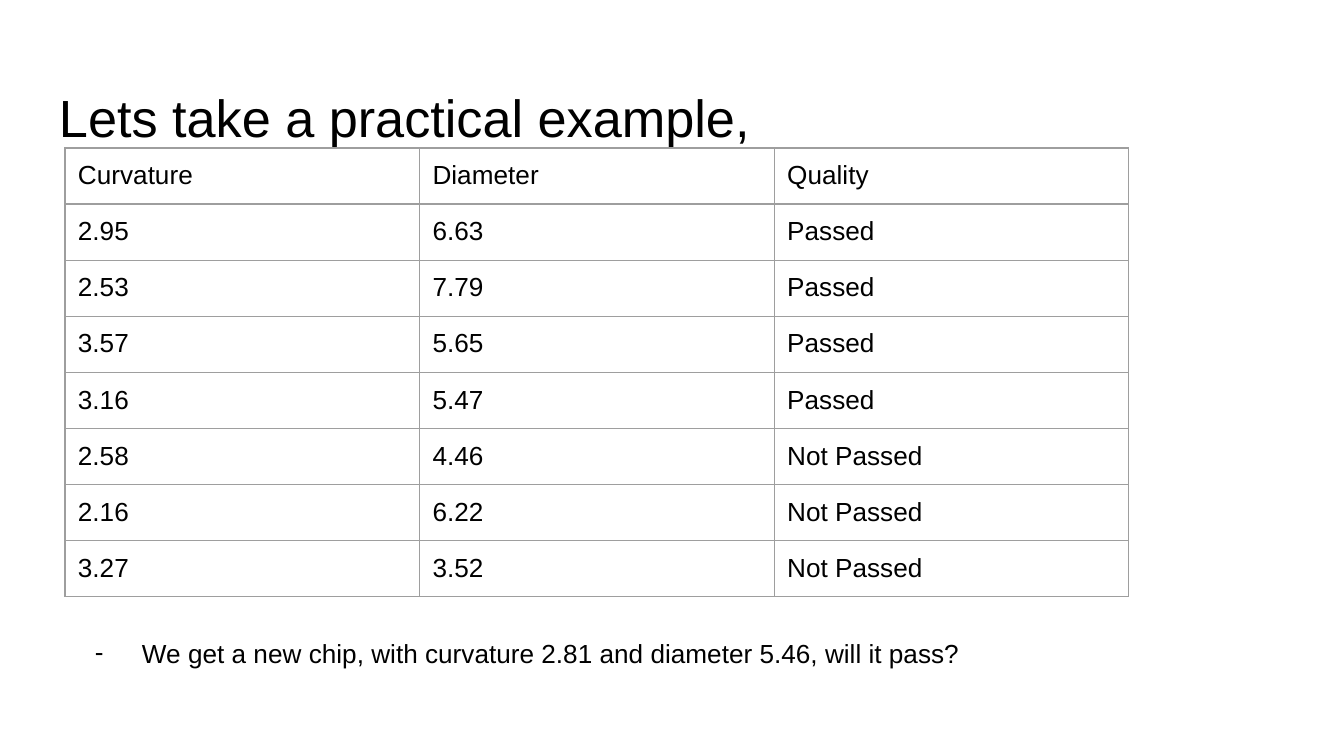
from lxml.etree import SubElement
from pptx import Presentation
from pptx.dml.color import RGBColor
from pptx.enum.text import MSO_ANCHOR as Anchor, MSO_AUTO_SIZE as AutoSize, PP_ALIGN as Align
from pptx.oxml.ns import qn
from pptx.util import Pt

SCALE = 914400 / 134.4
INSET = 13
BLACK, WHITE, GREY = "000000", "FFFFFF", "9E9E9E"
ROWS = [
    ("Curvature", "Diameter", "Quality"),
    ("2.95", "6.63", "Passed"),
    ("2.53", "7.79", "Passed"),
    ("3.57", "5.65", "Passed"),
    ("3.16", "5.47", "Passed"),
    ("2.58", "4.46", "Not Passed"),
    ("2.16", "6.22", "Not Passed"),
    ("3.27", "3.52", "Not Passed"),
]


def px(length):
    """Turn pixels into EMU."""
    return round(length * SCALE)


def color(value):
    """Turn a hex string into a colour."""
    return RGBColor.from_string(value)


def set_all(target, values):
    """Set attributes from a dict of format values."""
    for name, value in values.items():
        setattr(target, name, value)


def margins(prefix):
    """Give equal insets under the attribute names that start with prefix."""
    return {prefix + side: px(INSET) for side in ("left", "top", "right", "bottom")}


def write(frame, text, size):
    """Write one left-aligned paragraph and return it."""
    frame.text = text
    paragraph = frame.paragraphs[0]
    paragraph.alignment = Align.LEFT
    font = paragraph.runs[0].font
    set_all(font, {"name": "Arial", "size": Pt(size)})
    font.color.rgb = color(BLACK)
    return paragraph


def format_frame(frame):
    """Give a text frame its insets, wrapping and top anchor."""
    set_all(frame, margins("margin_") | {
        "word_wrap": True,
        "auto_size": AutoSize.NONE,
        "vertical_anchor": Anchor.TOP,
    })


def add_title(slide, left, top, width, height, text):
    """Move and format the title placeholder."""
    title = slide.shapes.title
    set_all(title, {"left": px(left), "top": px(top), "width": px(width), "height": px(height)})
    format_frame(title.text_frame)
    write(title.text_frame, text, 28).line_spacing = 1.1


def add_borders(cell):
    """Draw a thin grey line on each side of a cell."""
    properties = cell._tc.get_or_add_tcPr()
    for index, side in enumerate(("lnL", "lnR", "lnT", "lnB")):
        line = properties.makeelement(qn(f"a:{side}"), {"w": str(Pt(0.75))})
        fill = SubElement(line, qn("a:solidFill"))
        SubElement(fill, qn("a:srgbClr"), val=GREY)
        properties.insert(index, line)


def add_quality_table(slide, left, top, width, height):
    """Place the table of measured chips."""
    table = slide.shapes.add_table(
        len(ROWS), len(ROWS[0]), px(left), px(top), px(width), px(height)
    ).table
    set_all(table, {"first_row": False, "horz_banding": False})
    for row, values in enumerate(ROWS):
        for column, value in enumerate(values):
            cell = table.cell(row, column)
            set_all(cell, margins("margin_") | {"vertical_anchor": Anchor.TOP})
            cell.fill.solid()
            cell.fill.fore_color.rgb = color(WHITE)
            write(cell.text_frame, value, 14)
            add_borders(cell)


def add_question(slide, left, top, width, height, text):
    """Place the question with a dash as its bullet."""
    frame = slide.shapes.add_textbox(px(left), px(top), px(width), px(height)).text_frame
    format_frame(frame)
    properties = write(frame, text, 14)._p.get_or_add_pPr()
    properties.set("marL", str(px(67)))
    properties.set("indent", str(px(-47)))
    SubElement(properties, qn("a:buFont"), typeface="Arial")
    SubElement(properties, qn("a:buChar"), char="-")


def main():
    """Build and save the presentation."""
    presentation = Presentation()
    set_all(presentation, {"slide_width": px(1344), "slide_height": px(756)})
    slide = presentation.slides.add_slide(presentation.slide_layouts[5])
    add_title(slide, 46, 66, 1253, 85, "Lets take a practical example,")
    add_quality_table(slide, 65, 148, 1064, 449)
    add_question(slide, 62, 624, 977, 121,
                 "We get a new chip, with curvature 2.81 and diameter 5.46, will it pass?")
    presentation.save("out.pptx")


if __name__ == "__main__":
    main()
